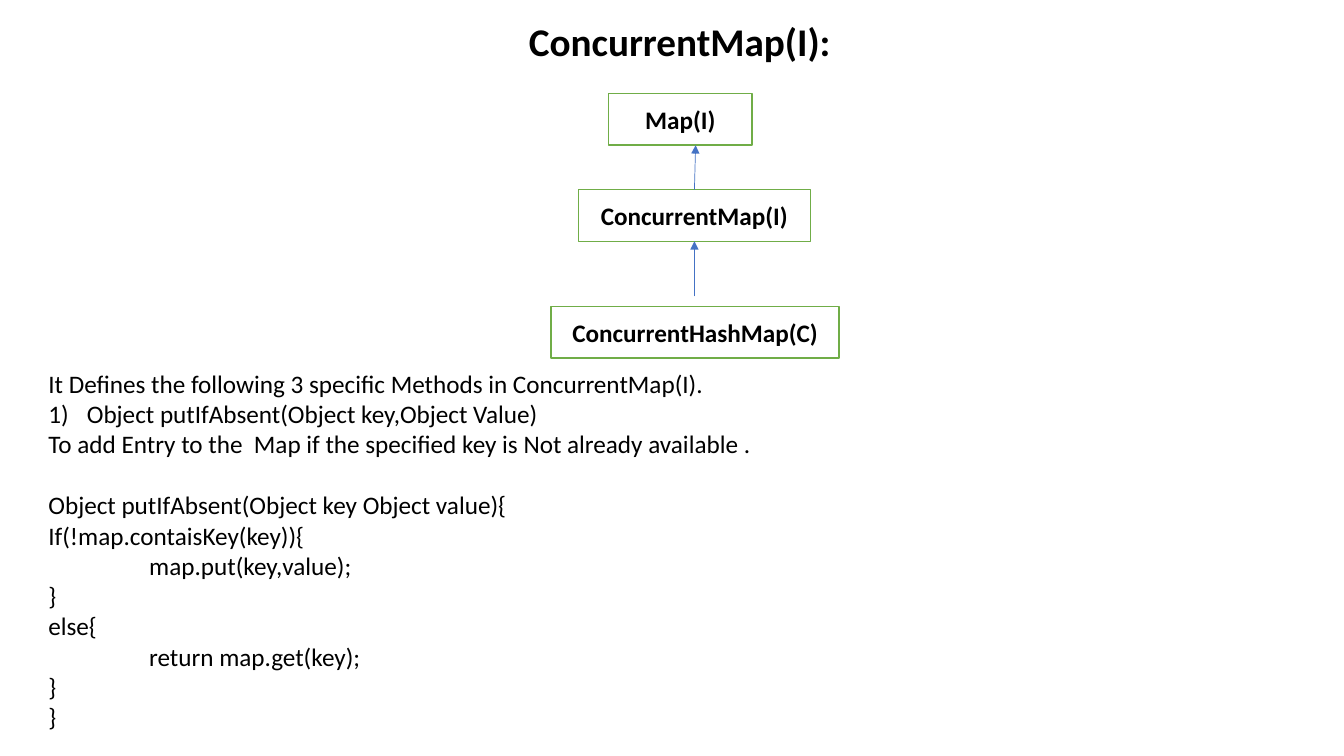
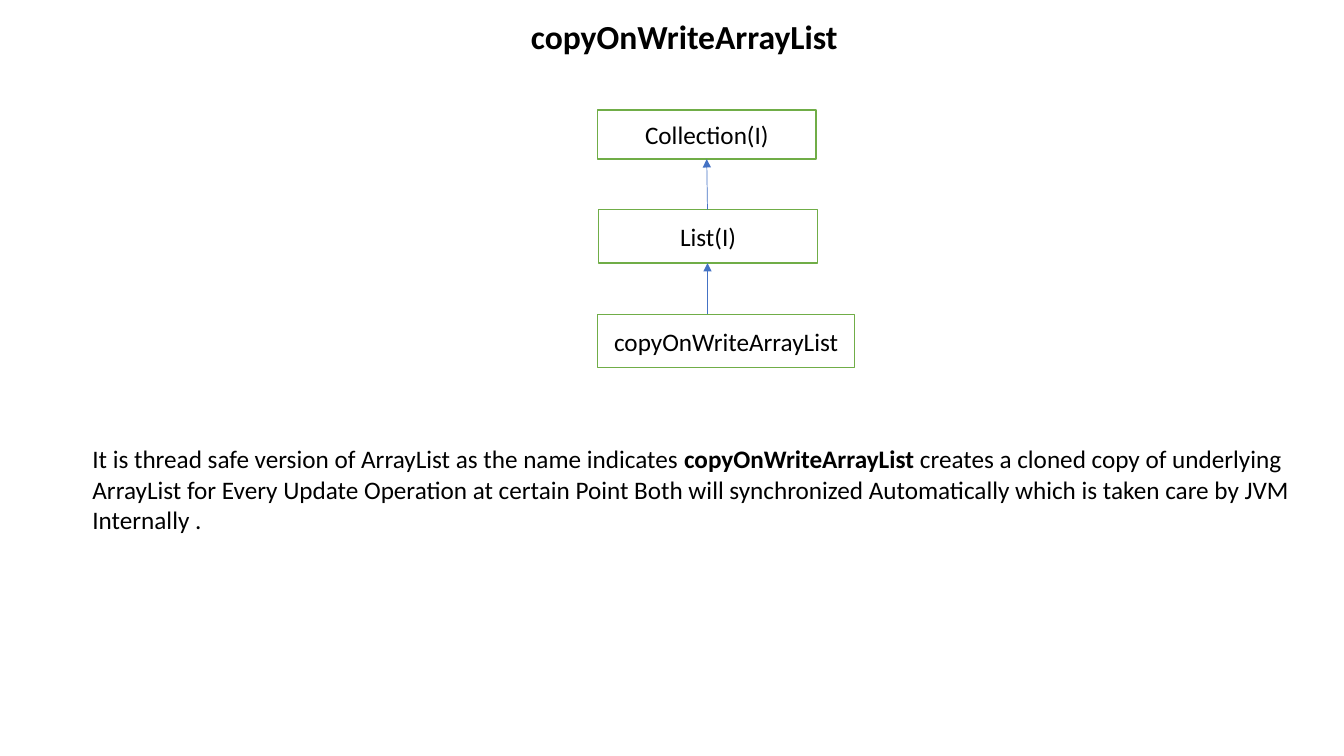
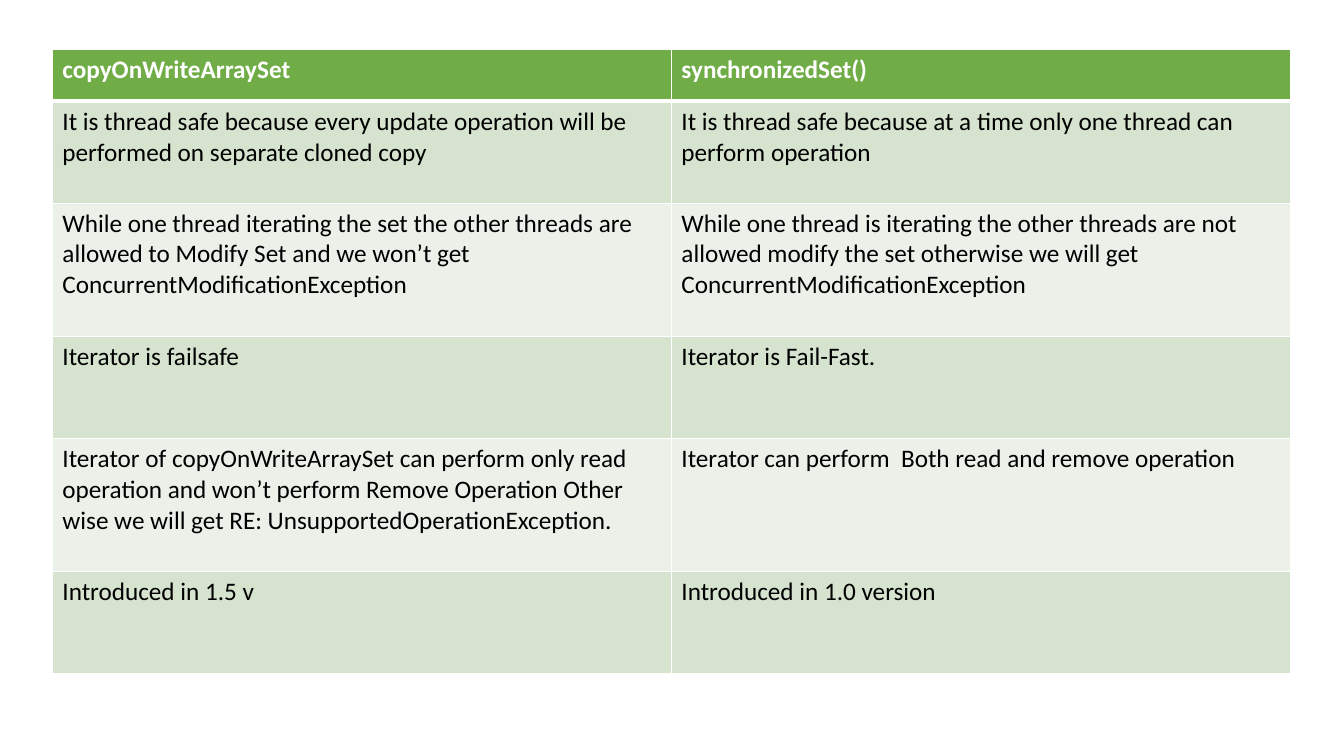
"""Build three slides on concurrent Java collections."""
from dataclasses import dataclass

from lxml import etree
from pptx import Presentation
from pptx import util as u
from pptx.dml.color import RGBColor
from pptx.enum import shapes, text
from pptx.oxml.ns import qn

COLOURS = {
    "ink": "000000",
    "paper": "FFFFFF",
    "green": "70AD47",
    "blue": "4472C4",
    "band_dark": "D5E3CF",
    "band_light": "EBF1E9",
}
FONT = "Calibri"
BODY_SIZE = 18
LINE_HEIGHT = 22
TITLE_MARGIN = 12.95
CODE_INDENT = 2.54
NUMBER_INDENT = 0.97


@dataclass(frozen=True)
class Area:
    left: float
    top: float
    width: float
    height: float

    def lengths(self) -> tuple:
        return tuple(u.Cm(v) for v in (self.left, self.top, self.width, self.height))


@dataclass(frozen=True)
class TypeBox:
    label: str
    area: Area


@dataclass(frozen=True)
class Arrow:
    start: tuple[float, float]
    end: tuple[float, float]


@dataclass(frozen=True)
class Line:
    phrases: tuple[str, ...]
    indent: float = 0
    numbered: bool = False
    gap_before: float = 0


def colour(name: str) -> RGBColor:
    return RGBColor.from_string(COLOURS[name])


def set_font(para, size: float = BODY_SIZE, bold: bool = False, ink: str = "ink") -> None:
    para.font.name = FONT
    para.font.size = u.Pt(size)
    para.font.bold = bold
    para.font.color.rgb = colour(ink)


def add_text_frame(page, area: Area):
    frame = page.shapes.add_textbox(*area.lengths()).text_frame
    frame.word_wrap = True
    return frame


def add_title(page, title: str, area: Area, size: float) -> None:
    frame = add_text_frame(page, area)
    frame.margin_left = u.Cm(TITLE_MARGIN)
    para = frame.paragraphs[0]
    para.text = title
    set_font(para, size, bold=True)


def add_type_box(page, item: TypeBox, bold: bool) -> None:
    box = page.shapes.add_shape(shapes.MSO_SHAPE.RECTANGLE, *item.area.lengths())
    box.shadow.inherit = False
    box.fill.solid()
    box.fill.fore_color.rgb = colour("paper")
    box.line.color.rgb = colour("green")
    box.line.width = u.Pt(1)
    box.text_frame.vertical_anchor = text.MSO_ANCHOR.MIDDLE
    para = box.text_frame.paragraphs[0]
    para.text = item.label
    para.alignment = text.PP_ALIGN.CENTER
    set_font(para, bold=bold)


def add_arrow(page, arrow: Arrow) -> None:
    points = [u.Cm(v) for v in arrow.start + arrow.end]
    connector = page.shapes.add_connector(shapes.MSO_CONNECTOR.STRAIGHT, *points)
    connector.line.color.rgb = colour("blue")
    connector.line.width = u.Pt(0.5)
    properties = connector._element.spPr
    etree.SubElement(properties.find(qn("a:ln")), qn("a:tailEnd"), type="triangle")
    etree.SubElement(properties, qn("a:effectLst"))


def add_hierarchy(page, boxes: list[TypeBox], arrows: list[Arrow], bold: bool) -> None:
    for box in boxes:
        add_type_box(page, box, bold)
    for arrow in arrows:
        add_arrow(page, arrow)


def add_body(page, area: Area, lines: list[Line], margin_top: float = 0.13) -> None:
    frame = add_text_frame(page, area)
    frame.margin_top = u.Cm(margin_top)
    for index, line in enumerate(lines):
        para = frame.add_paragraph() if index else frame.paragraphs[0]
        set_font(para)
        para.space_before = u.Pt(line.gap_before)
        for position, phrase in enumerate(line.phrases):
            span = para.add_run()
            span.text = phrase
            if position % 2:
                span.font.bold = True
        properties = para._p.get_or_add_pPr()
        properties.set("marL", str(int(u.Cm(line.indent))))
        if line.numbered:
            properties.set("indent", str(-int(u.Cm(line.indent))))
            bullet = etree.Element(qn("a:buAutoNum"), type="arabicParenR")
            properties.find(qn("a:defRPr")).addprevious(bullet)


def add_border(cell, side: str, width: float) -> None:
    border = etree.SubElement(
        cell._tc.get_or_add_tcPr(), qn(f"a:ln{side}"), w=str(int(u.Pt(width)))
    )
    fill = etree.SubElement(border, qn("a:solidFill"))
    etree.SubElement(fill, qn("a:srgbClr"), val=COLOURS["paper"])


def add_comparison(page, area: Area, rows: list[tuple[str, str]], heights: list[float]) -> None:
    table = page.shapes.add_table(len(rows), len(rows[0]), *area.lengths()).table
    for row_index, (row, height) in enumerate(zip(rows, heights)):
        table.rows[row_index].height = u.Cm(height)
        header = row_index == 0
        band = "green" if header else ("band_light", "band_dark")[row_index % 2]
        widths = {"L": 1, "R": 1, "T": 3 if row_index == 1 else 1, "B": 3 if header else 1}
        for column_index, words in enumerate(row):
            cell = table.cell(row_index, column_index)
            for side, width in widths.items():
                add_border(cell, side, width)
            cell.fill.solid()
            cell.fill.fore_color.rgb = colour(band)
            para = cell.text_frame.paragraphs[0]
            para.text = words
            set_font(para, bold=header, ink="paper" if header else "ink")


def add_page(deck):
    return deck.slides.add_slide(deck.slide_layouts[6])


def build_concurrent_map(deck) -> None:
    page = add_page(deck)
    add_title(page, "ConcurrentMap(I):", Area(0.38, 0.3, 32.59, 2.24), 28)
    boxes = [
        TypeBox("Map(I)", Area(15.34, 2.36, 3.61, 1.3)),
        TypeBox("ConcurrentMap(I)", Area(14.58, 4.78, 5.84, 1.3)),
        TypeBox("ConcurrentHashMap(C)", Area(13.89, 7.72, 7.26, 1.3)),
    ]
    arrows = [
        Arrow((17.5, 4.78), (17.53, 3.66)),
        Arrow((17.5, 7.47), (17.5, 6.08)),
    ]
    add_hierarchy(page, boxes, arrows, bold=True)
    lines = [
        Line(("It Defines the following 3 specific Methods in ConcurrentMap(I).",)),
        Line(("Object putIfAbsent(Object key,Object Value)",), NUMBER_INDENT, numbered=True),
        Line(("To add Entry to the  Map if the specified key is Not already available .",)),
        Line(("Object putIfAbsent(Object key Object value){",), gap_before=LINE_HEIGHT),
        Line(("If(!map.contaisKey(key)){",)),
        Line(("map.put(key,value);",), CODE_INDENT),
        Line(("}",)),
        Line(("else{",)),
        Line(("return map.get(key);",), CODE_INDENT),
        Line(("}",)),
        Line(("}",)),
    ]
    add_body(page, Area(0.97, 8.38, 32.9, 10.6), lines, margin_top=0.9)


def build_copy_on_write_list(deck) -> None:
    page = add_page(deck)
    add_title(page, "copyOnWriteArrayList", Area(0.43, 0.28, 32.87, 2.06), 24)
    boxes = [
        TypeBox("Collection(I)", Area(15.06, 2.77, 5.51, 1.24)),
        TypeBox("List(I)", Area(15.09, 5.28, 5.51, 1.35)),
        TypeBox("copyOnWriteArrayList", Area(15.06, 7.92, 6.48, 1.35)),
    ]
    arrows = [
        Arrow((17.83, 5.28), (17.81, 4.01)),
        Arrow((17.83, 7.92), (17.83, 6.63)),
    ]
    add_hierarchy(page, boxes, arrows, bold=False)
    lines = [
        Line((
            "It is thread safe version of ArrayList as the name indicates ",
            "copyOnWriteArrayList ",
            "creates a cloned copy of underlying",
        )),
        Line((
            "ArrayList for Every Update Operation at certain Point Both will "
            "synchronized Automatically which is taken care by JVM",
        )),
        Line(("Internally .",)),
    ]
    add_body(page, Area(2.08, 11.05, 31.19, 2.57), lines)


def build_set_comparison(deck) -> None:
    page = add_page(deck)
    rows = [
        ("copyOnWriteArraySet", "synchronizedSet()"),
        (
            "It is thread safe because every update operation will be performed "
            "on separate cloned copy",
            "It is thread safe because at a time only one thread can perform operation",
        ),
        (
            "While one thread iterating the set the other threads are allowed to "
            "Modify Set and we won’t get ConcurrentModificationException",
            "While one thread is iterating the other threads are not allowed modify "
            "the set otherwise we will get ConcurrentModificationException",
        ),
        ("Iterator is failsafe", "Iterator is Fail-Fast."),
        (
            "Iterator of copyOnWriteArraySet can perform only read operation and won’t "
            "perform Remove Operation Other wise we will get RE: "
            "UnsupportedOperationException.",
            "Iterator can perform  Both read and remove operation",
        ),
        ("Introduced in 1.5 v", "Introduced in 1.0 version"),
    ]
    heights = [1.31, 2.57, 3.36, 2.57, 3.36, 2.57]
    add_comparison(page, Area(1.32, 1.24, 31.2, sum(heights)), rows, heights)


def main() -> None:
    deck = Presentation()
    deck.slide_width = u.Cm(33.87)
    deck.slide_height = u.Cm(19.05)
    build_concurrent_map(deck)
    build_copy_on_write_list(deck)
    build_set_comparison(deck)
    deck.save("out.pptx")


main()
